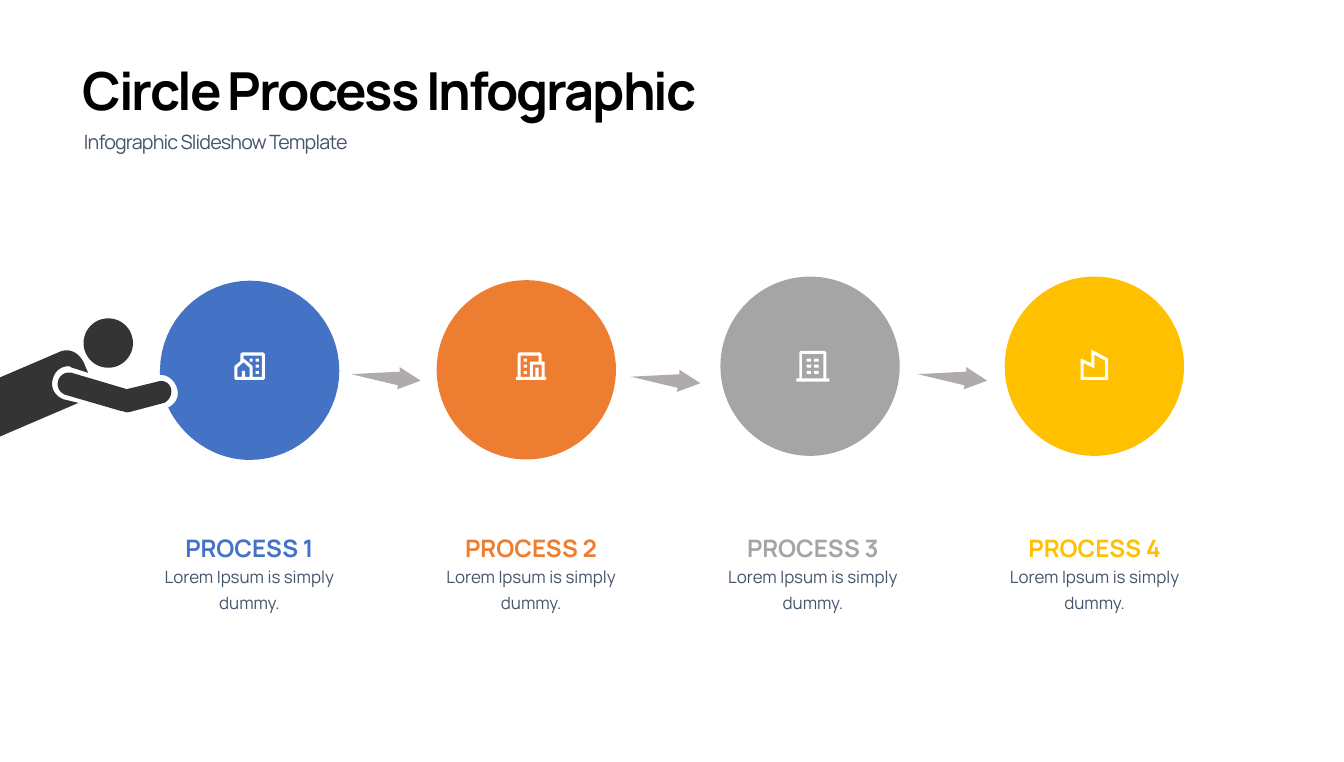
from pptx import Presentation
from pptx.dml.color import RGBColor
from pptx.enum.shapes import MSO_SHAPE
from pptx.enum.text import PP_ALIGN
from pptx.util import Inches, Pt

ELLIPSE = MSO_SHAPE.OVAL
LEFT, CENTER = PP_ALIGN.LEFT, PP_ALIGN.CENTER
FONT = "Manrope"
DARK, SLATE, ARROW, WHITE = "343434", "44546A", "AFABAB", "FFFFFF"
COLOURS = ["4472C4", "ED7D31", "A5A5A5", "FFC000"]
DIAMETER = 3.52
CIRCLES = [(3.14, 5.5), (8.57, 5.5), (14.14, 5.43), (19.72, 5.43)]
ARROWS = [(6.89, 7.18), (12.38, 7.23), (18.01, 7.18)]
LABEL_LEFT, LABEL_STEP, LABEL_WIDTH = 2.73, 5.53, 4.33

NOTCHED_CIRCLE = [
    (1.77, 0.01), (0.8, 0.01, 0, 0.8, 0, 1.78), (0, 1.79, 0, 1.84, 0, 1.86),
    (0.01, 1.86), (0.17, 1.86, 0.29, 1.98, 0.33, 2.11),
    (0.39, 2.28, 0.31, 2.43, 0.16, 2.5), (0.45, 3.1, 1.07, 3.53, 1.76, 3.53),
    (2.73, 3.53, 3.52, 2.74, 3.52, 1.78), (3.52, 0.8, 2.73, 0.01, 1.77, 0.01)]
ARM = [
    (3.36, 1.39), (3.34, 1.28, 3.22, 1.2, 3.1, 1.24), (2.49, 1.39), (1.41, 1.07),
    (1.29, 1.04, 1.17, 1.11, 1.14, 1.23), (1.11, 1.34, 1.16, 1.45, 1.28, 1.5),
    (2.38, 1.82), (2.38, 1.82, 2.39, 1.82, 2.41, 1.82),
    (2.45, 1.84, 2.49, 1.85, 2.54, 1.84), (3.22, 1.66),
    (3.31, 1.62, 3.38, 1.51, 3.36, 1.39)]
BODY = [
    (1.04, 1.18), (1.08, 1.04, 1.19, 0.94, 1.35, 0.94),
    (1.37, 0.94, 1.41, 0.97, 1.42, 0.97), (1.73, 1.07), (1.64, 0.86),
    (1.55, 0.68, 1.37, 0.58, 1.19, 0.65), (0, 1.16), (0, 2.32), (1.54, 1.66),
    (1.25, 1.59), (1.08, 1.53, 0.98, 1.36, 1.04, 1.18)]
ARROW_OUTLINE = [(1.37, 0.25), (0.94, 0.01), (0.95, 0.1), (0, 0.21),
                 (0.93, 0.37), (0.92, 0.45), (1.37, 0.25)]


def rectangle(left, top, width, height):
    right, bottom = left + width, top + height
    return [(left, top), (right, top), (right, bottom), (left, bottom)]


def windows(columns, rows, width=0.06):
    return [rectangle(x, y, width, 0.06) for x in columns for y in rows]


ICONS = [
    (1.46, 1.42, [
        [(0.57, 0.54), (0.03, 0.54), (0, 0.51), (0, 0.29), (0.01, 0.26), (0.12, 0.17),
         (0.12, 0.03), (0.15, 0), (0.57, 0), (0.6, 0.03), (0.6, 0.51)],
        [(0.21, 0.48), (0.3, 0.48), (0.3, 0.3), (0.18, 0.19), (0.06, 0.3),
         (0.06, 0.48), (0.15, 0.48), (0.15, 0.36), (0.21, 0.36)],
        [(0.36, 0.48), (0.54, 0.48), (0.54, 0.06), (0.18, 0.06), (0.18, 0.13),
         (0.2, 0.13), (0.35, 0.26), (0.36, 0.29)],
        *windows([0.42], [0.12, 0.24, 0.36]), *windows([0.3], [0.12])]),
    (1.56, 1.42, [
        [(0.59, 0.54), (0, 0.54), (0, 0.48), (0.03, 0.48), (0.03, 0.03), (0.06, 0),
         (0.47, 0), (0.5, 0.03), (0.5, 0.18), (0.56, 0.18), (0.56, 0.48), (0.59, 0.48)],
        [(0.44, 0.48), (0.5, 0.48), (0.5, 0.24), (0.33, 0.24), (0.33, 0.48),
         (0.38, 0.48), (0.38, 0.3), (0.44, 0.3)],
        [(0.44, 0.18), (0.44, 0.06), (0.09, 0.06), (0.09, 0.48), (0.27, 0.48), (0.27, 0.18)],
        *windows([0.15], [0.12, 0.24, 0.36])]),
    (1.49, 1.46, [
        [(0.59, 0.54), (0.65, 0.54), (0.65, 0.6), (0, 0.6), (0, 0.54), (0.06, 0.54),
         (0.06, 0.03), (0.08, 0), (0.56, 0), (0.59, 0.03)],
        rectangle(0.11, 0.06, 0.42, 0.48),
        *windows([0.2, 0.35], [0.15, 0.27, 0.39], 0.09)]),
    (1.49, 1.43, [
        [(0.21, 0.27), (0.21, 0), (0.54, 0.18), (0.54, 0.6), (0, 0.6), (0, 0.18)],
        [(0.27, 0.1), (0.27, 0.37), (0.06, 0.27), (0.06, 0.54), (0.48, 0.54), (0.48, 0.22)]]),
]


def colour(value):
    return RGBColor.from_string(value)


def paint(shape, fill):
    shape.shadow.inherit = False
    shape.fill.solid()
    shape.fill.fore_color.rgb = colour(fill)
    shape.line.fill.background()
    return shape


def flatten(contour, steps=16):
    points = [contour[0]]
    for segment in contour[1:]:
        if len(segment) == 2:
            points.append(segment)
            continue
        controls = [points[-1], segment[:2], segment[2:4], segment[4:]]
        for step in range(1, steps + 1):
            t = step / steps
            weights = [(1 - t) ** 3, 3 * t * (1 - t) ** 2, 3 * t * t * (1 - t), t ** 3]
            points.append(tuple(sum(weight * point[axis] for weight, point in zip(weights, controls))
                                for axis in (0, 1)))
    return points


def add_outline(page, left, top, contours, fill):
    builder = None
    for contour in contours:
        points = [(Inches(left + x), Inches(top + y)) for x, y in flatten(contour)]
        if builder is None:
            builder = page.shapes.build_freeform(*points[0])
        else:
            builder.move_to(*points[0])
        builder.add_line_segments(points[1:], close=True)
    return paint(builder.convert_to_shape(), fill)


def add_circle(page, left, top, diameter, fill):
    box = page.shapes.add_shape(ELLIPSE, *map(Inches, (left, top, diameter, diameter)))
    return paint(box, fill)


def add_text(page, bounds, text, size, fill, spacing, bold=False, align=LEFT,
             inset=None, tracking=None):
    frame = page.shapes.add_textbox(*map(Inches, bounds)).text_frame
    frame.word_wrap = True
    if inset is not None:
        for side in ("left", "top", "right", "bottom"):
            setattr(frame, f"margin_{side}", Inches(inset))
    para = frame.paragraphs[0]
    for name, value in {"alignment": align, "line_spacing": spacing}.items():
        setattr(para, name, value)
    span = para.add_run()
    span.text = text
    for name, value in {"name": FONT, "size": Pt(size), "bold": bold}.items():
        setattr(span.font, name, value)
    span.font.color.rgb = colour(fill)
    if tracking is not None:
        span.font._element.set("spc", str(tracking))


def add_heading(page, left, top):
    add_text(page, (left, top, 20.24, 1.38), "Circle Process Infographic",
             74, "000000", Pt(94), bold=True, tracking=-290)
    add_text(page, (left + 0.03, top + 1.35, 19.24, 0.65), "Infographic Slideshow Template",
             27.8, SLATE, Pt(42), tracking=-120)


def add_label(page, left, top, number, fill):
    add_text(page, (left, top, LABEL_WIDTH, 0.78), f"PROCESS {number}",
             34, fill, 1.5, bold=True, align=CENTER, inset=0)
    add_text(page, (left, top + 0.84, LABEL_WIDTH, 0.98), "Lorem Ipsum is simply dummy.",
             24, SLATE, Pt(36), align=CENTER, inset=0)


def add_stage(page, left, top, index):
    if index == 0:
        add_outline(page, left, top, [NOTCHED_CIRCLE], COLOURS[index])
    else:
        add_circle(page, left, top, DIAMETER, COLOURS[index])
    x, y, contours = ICONS[index]
    add_outline(page, left + x, top + y, contours, WHITE)


def add_person(page, left, top):
    for part in (ARM, BODY):
        add_outline(page, left, top, [part], DARK)
    add_circle(page, left + 1.64, top, 0.97, DARK)


def add_arrow(page, left, top):
    add_outline(page, left, top, [ARROW_OUTLINE], ARROW).rotation = 3.7


def main():
    deck = Presentation()
    deck.slide_width, deck.slide_height = Inches(26.38), Inches(14.96)
    page = deck.slides.add_slide(deck.slide_layouts[6])
    add_heading(page, 1.52, 1.02)
    for index, (left, top) in enumerate(CIRCLES):
        add_stage(page, left, top, index)
        add_label(page, LABEL_LEFT + index * LABEL_STEP, 10.19, index + 1, COLOURS[index])
    add_person(page, 0, 6.25)
    for left, top in ARROWS:
        add_arrow(page, left, top)
    deck.save("out.pptx")


if __name__ == "__main__":
    main()
